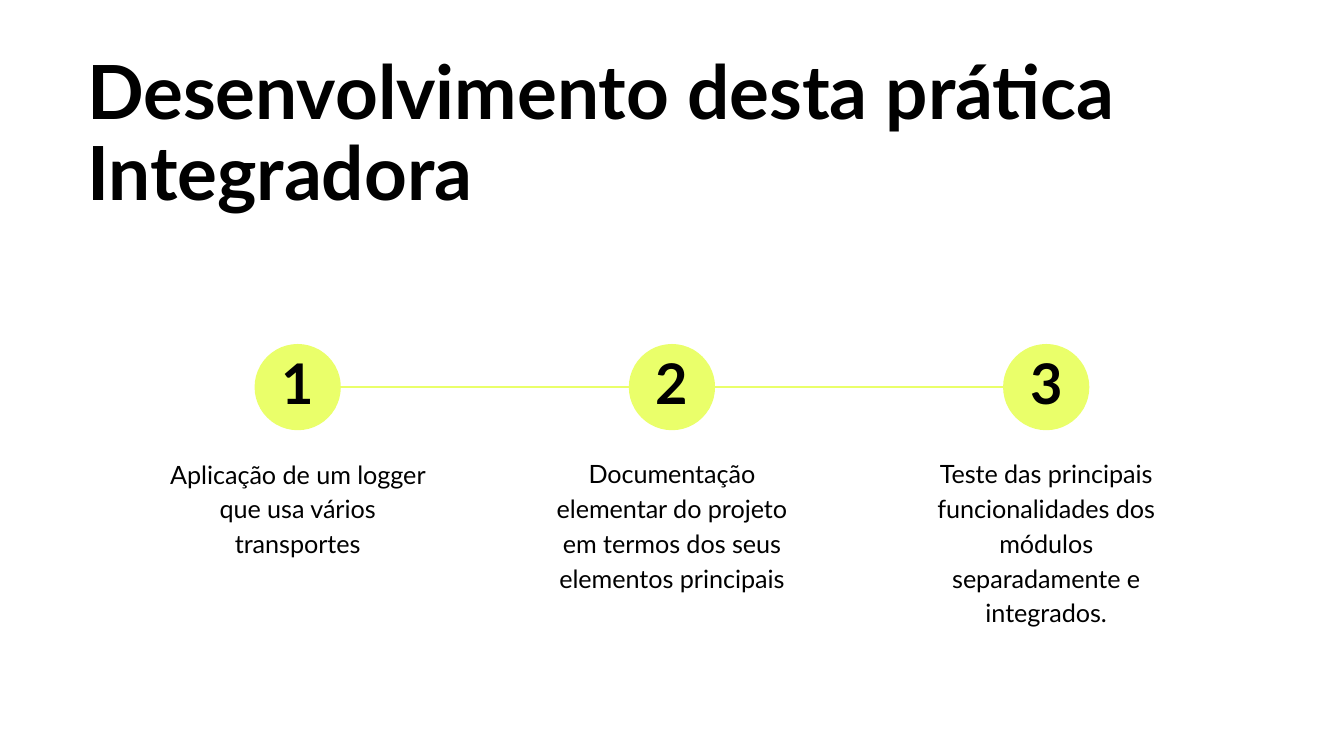
from lxml.etree import SubElement
from pptx import Presentation
from pptx.dml.color import RGBColor
from pptx.enum.shapes import MSO_CONNECTOR as Conn, MSO_SHAPE as Form
from pptx.enum.text import MSO_AUTO_SIZE as Fit, PP_ALIGN as Align
from pptx.oxml.ns import qn
from pptx.util import Pt

BLACK = RGBColor(0x00, 0x00, 0x00)
LIME = RGBColor(0xEA, 0xFF, 0x6A)
FONT = "Lato"

MID = 360
STEP = 200.5
AXIS = 207.4
DISC = 46.2

STEPS = [
    ("Aplicação de um logger que usa vários transportes", 68.4),
    ("Documentação elementar do projeto em termos dos seus elementos principais", 105.8),
    ("Teste das principais funcionalidades dos módulos separadamente e integrados.", 125.3),
]


def add_text(slide, text, left, top, width, height, size, lead, bold=False, align=Align.CENTER):
    box = slide.shapes.add_textbox(Pt(left), Pt(top), Pt(width), Pt(height))
    frame = box.text_frame
    frame.word_wrap = True
    frame.auto_size = Fit.SHAPE_TO_FIT_TEXT
    frame.margin_left = frame.margin_right = Pt(7.2)
    frame.margin_top = frame.margin_bottom = Pt(7.2)
    frame.text = text
    para = frame.paragraphs[0]
    para.alignment = align
    para.line_spacing = lead
    font = para.runs[0].font
    font.name = FONT
    font.size = Pt(size)
    font.bold = bold
    font.color.rgb = BLACK


def add_disc(slide, x):
    disc = slide.shapes.add_shape(
        Form.OVAL, Pt(x - DISC / 2), Pt(AXIS - DISC / 2), Pt(DISC), Pt(DISC))
    disc.shadow.inherit = False
    disc.fill.solid()
    disc.fill.fore_color.rgb = LIME
    disc.line.fill.background()


def add_link(slide, start, end):
    link = slide.shapes.add_connector(Conn.STRAIGHT, Pt(start), Pt(AXIS), Pt(end), Pt(AXIS))
    link.line.color.rgb = LIME
    link.line.width = Pt(0.75)
    SubElement(link._element.spPr, qn("a:effectLst"))


def main():
    deck = Presentation()
    deck.slide_width = Pt(720)
    deck.slide_height = Pt(405)
    slide = deck.slides.add_slide(deck.slide_layouts[6])

    add_text(slide, "Desenvolvimento desta prática Integradora",
             39.6, 22.3, 645, 101.5, 40, 0.9, True, Align.LEFT)
    for i, (text, height) in enumerate(STEPS):
        x = MID + (i - 1) * STEP
        if i:
            add_link(slide, x - STEP + DISC / 2, x - DISC / 2)
        add_disc(slide, x)
        add_text(slide, str(i + 1), x - 16.2, 183.6, 32.4, 47.5, 30, 0.9, True)
        add_text(slide, text, x - 76.7, 236.2, 153.4, height, 13.5, 1.15)

    deck.save("out.pptx")


if __name__ == "__main__":
    main()
